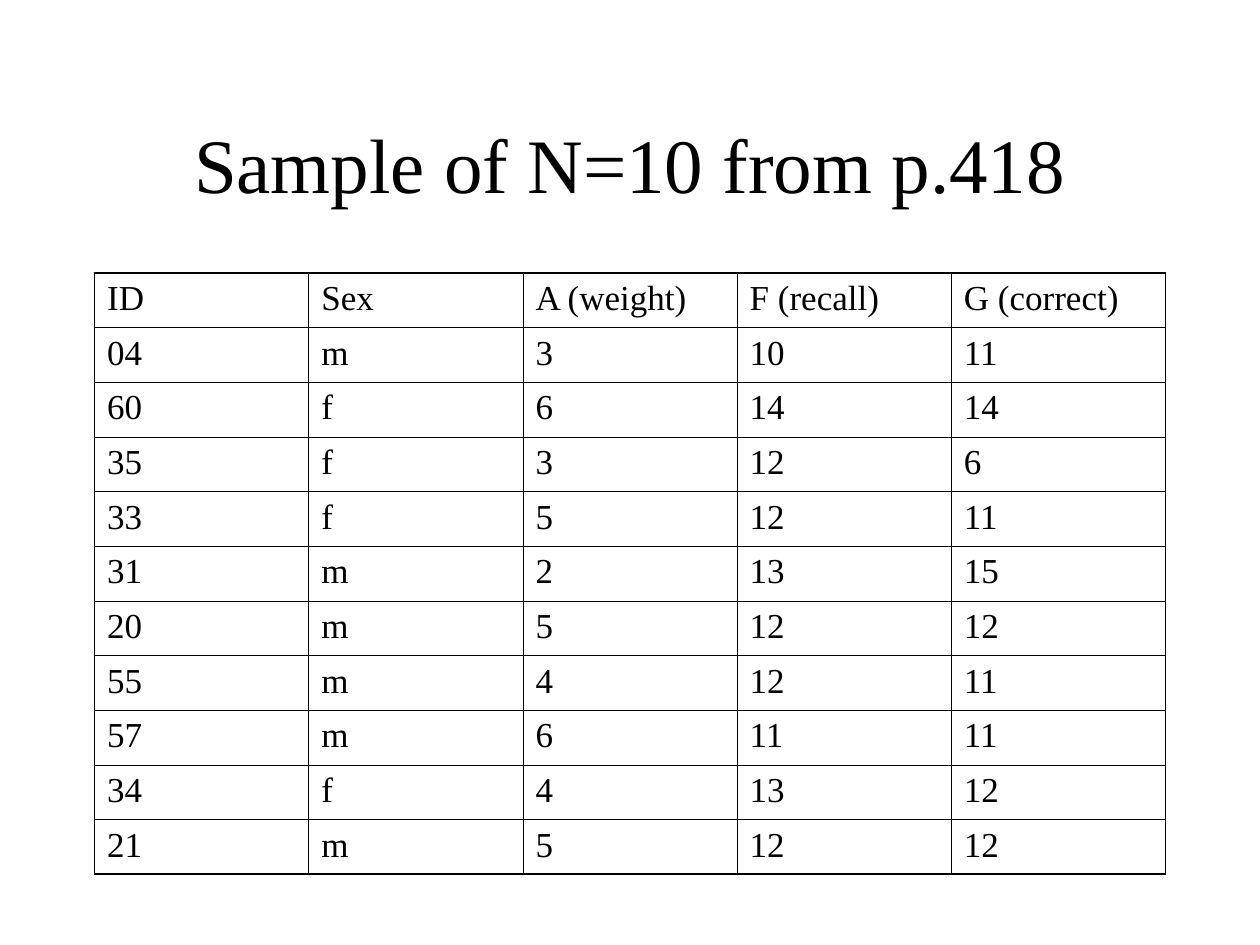
from dataclasses import dataclass

from lxml.etree import SubElement as sub
from pptx import Presentation
from pptx.dml.color import RGBColor as Rgb
from pptx.enum.text import MSO_ANCHOR as Anchor, PP_ALIGN as Align
from pptx.oxml.ns import qn
from pptx.util import Pt


@dataclass(frozen=True)
class Theme:
    font: str = "Times New Roman"
    ink: str = "000000"
    title: float = 44
    body: float = 20
    thin: float = 0.45
    thick: float = 1.08


THEME = Theme()
HEAD = ["ID", "Sex", "A (weight)", "F (recall)", "G (correct)"]
ROWS = [
    ["04", "m", "3", "10", "11"],
    ["60", "f", "6", "14", "14"],
    ["35", "f", "3", "12", "6"],
    ["33", "f", "5", "12", "11"],
    ["31", "m", "2", "13", "15"],
    ["20", "m", "5", "12", "12"],
    ["55", "m", "4", "12", "11"],
    ["57", "m", "6", "11", "11"],
    ["34", "f", "4", "13", "12"],
    ["21", "m", "5", "12", "12"],
]


def add_run(para, text, size):
    run = para.add_run()
    run.text = text
    run.font.name = THEME.font
    run.font.size = Pt(size)
    run.font.bold = False
    run.font.color.rgb = Rgb.from_string(THEME.ink)


def add_edge(cell, side, width):
    line = sub(cell._tc.get_or_add_tcPr(), qn(f"a:ln{side}"), w=str(Pt(width)))
    fill = sub(line, qn("a:solidFill"))
    sub(fill, qn("a:srgbClr"), val=THEME.ink)


def add_title(slide, box, text):
    frame = slide.shapes.add_textbox(*map(Pt, box)).text_frame
    frame.word_wrap = True
    frame.vertical_anchor = Anchor.MIDDLE
    para = frame.paragraphs[0]
    para.alignment = Align.CENTER
    add_run(para, text, THEME.title)


def add_grid(slide, box, data):
    rows, cols = len(data), len(data[0])
    table = slide.shapes.add_table(rows, cols, *map(Pt, box)).table
    table.first_row = table.horz_banding = False
    for col in table.columns:
        col.width = Pt(box[2] / cols)
    for row in table.rows:
        row.height = Pt(box[3] / rows)

    for r, line in enumerate(data):
        for c, text in enumerate(line):
            cell = table.cell(r, c)
            add_run(cell.text_frame.paragraphs[0], text, THEME.body)
            # Thick edges around the table, thin ones inside
            outer = {"L": c == 0, "R": c == cols - 1,
                     "T": r == 0, "B": r == rows - 1}
            for side, rim in outer.items():
                add_edge(cell, side, THEME.thick if rim else THEME.thin)
            cell.fill.background()


def main():
    deck = Presentation()
    deck.slide_width, deck.slide_height = Pt(720), Pt(540)
    slide = deck.slides.add_slide(deck.slide_layouts[6])
    # Title above the sample table
    add_title(slide, (54, 48, 612, 90), "Sample of N=10 from p.418")
    add_grid(slide, (54, 156, 612, 342.8), [HEAD, *ROWS])
    deck.save("out.pptx")


if __name__ == "__main__":
    main()
